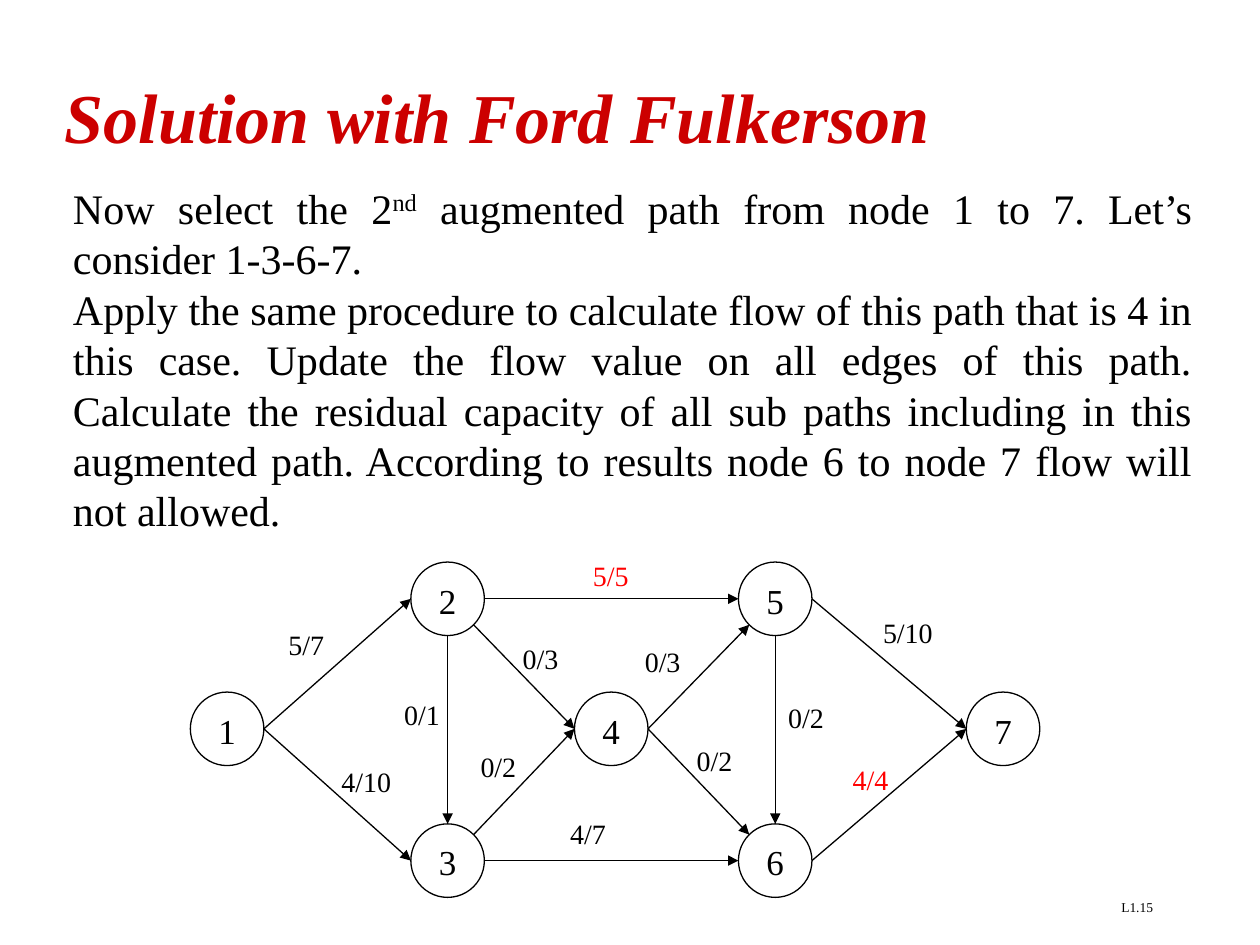
from math import hypot
from lxml.etree import SubElement
from pptx import Presentation
from pptx.dml.color import RGBColor
from pptx.enum.shapes import MSO_CONNECTOR, MSO_SHAPE
from pptx.enum.text import MSO_ANCHOR, PP_ALIGN
from pptx.oxml.ns import qn
from pptx.util import Pt

# Content
TITLE = "Solution with Ford Fulkerson"
BODY = [
    [("Now select the 2", False), ("nd", True),
     (" augmented path from node 1 to 7. Let’s consider 1-3-6-7.", False)],
    [("Apply the same procedure to calculate flow of this path that is 4 in this case. "
      "Update the flow value on all edges of this path. Calculate the residual capacity "
      "of all sub paths including in this augmented path. According to results node 6 to "
      "node 7 flow will not allowed.", False)],
]
PAGE = "L1.15"

# Node centres sit on five columns and three rows
COLS = [129.8, 255.8, 349.3, 443, 573.2]
ROWS = [342.2, 416.5, 491.8]
NODES = {"1": (0, 1), "2": (1, 0), "3": (1, 2), "4": (2, 1),
         "5": (3, 0), "6": (3, 2), "7": (4, 1)}
RIGHT, LEFT, UP, DOWN = (1, 0), (-1, 0), (0, -1), (0, 1)
DOWN_RIGHT, UP_RIGHT, DOWN_LEFT, UP_LEFT = (1, 1), (1, -1), (-1, 1), (-1, -1)

# Edge: from, side, to, side, flow/capacity, label left and top
EDGES = [
    ("1", RIGHT, "2", LEFT, "5/7", 157.7, 355),
    ("1", RIGHT, "3", LEFT, "4/10", 188, 433.4),
    ("2", RIGHT, "5", LEFT, "5/5", 331.7, 315.4),
    ("3", RIGHT, "6", LEFT, "4/7", 318.7, 463),
    ("2", DOWN, "3", UP, "0/1", 223.9, 395.3),
    ("2", DOWN_RIGHT, "4", LEFT, "0/3", 291.6, 363),
    ("3", UP_RIGHT, "4", LEFT, "0/2", 267.5, 424.8),
    ("4", RIGHT, "5", DOWN_LEFT, "0/3", 361.4, 364.5),
    ("4", RIGHT, "6", UP_LEFT, "0/2", 391, 421.2),
    ("5", DOWN, "6", UP, "0/2", 443.3, 396.7),
    ("5", RIGHT, "7", LEFT, "5/10", 497.5, 348.5),
    ("6", RIGHT, "7", LEFT, "4/4", 480.2, 432),
]

THEME = {
    "font": "Times New Roman",
    "black": RGBColor(0, 0, 0), "title": RGBColor(0xCC, 0, 0), "full": RGBColor(0xFF, 0, 0),
    "title_size": 40, "body_size": 24, "node_size": 20, "label_size": 16, "page_size": 7.7,
    "line": 0.75, "radius": 21,
}

prs = Presentation()
prs.slide_width, prs.slide_height = Pt(720), Pt(540)
s = prs.slides.add_slide(prs.slide_layouts[6])


def style(tf, size, color="black", align=PP_ALIGN.LEFT, bold=False):
    for p in tf.paragraphs:
        p.alignment = align
        for r in p.runs:
            r.font.name, r.font.size = THEME["font"], Pt(THEME[size])
            r.font.color.rgb = THEME[color]
            r.font.bold = r.font.italic = bold


def add_text(x, y, w, h, text="", wrap=True):
    tf = s.shapes.add_textbox(Pt(x), Pt(y), Pt(w), Pt(h)).text_frame
    tf.word_wrap = wrap
    tf.text = text
    return tf


def port(node, side):
    """Point on the node's circle in the direction of side."""
    col, row = NODES[node]
    k = THEME["radius"] / hypot(*side)
    return Pt(COLS[col] + k * side[0]), Pt(ROWS[row] + k * side[1])


# Page number and title
style(add_text(516, 510, 150, 18, PAGE), "page_size", align=PP_ALIGN.RIGHT)
tf = add_text(30, 30, 672, 72, TITLE)
tf.vertical_anchor = MSO_ANCHOR.MIDDLE
style(tf, "title_size", "title", bold=True)

# Body text
tf = add_text(34.6, 100.8, 653.8, 324)
for i, parts in enumerate(BODY):
    p = tf.paragraphs[0] if i == 0 else tf.add_paragraph()
    for text, raised in parts:
        r = p.add_run()
        r.text = text
        if raised:
            r.font._element.set("baseline", "30000")
style(tf, "body_size", align=PP_ALIGN.JUSTIFY)

# Nodes
rad = THEME["radius"]
for name, (col, row) in NODES.items():
    sp = s.shapes.add_shape(MSO_SHAPE.OVAL, Pt(COLS[col] - rad), Pt(ROWS[row] - rad),
                            Pt(2 * rad), Pt(2 * rad))
    sp.shadow.inherit = False
    sp.fill.background()
    sp.line.color.rgb, sp.line.width = THEME["black"], Pt(THEME["line"])
    sp.text_frame.text = name
    sp.text_frame.vertical_anchor = MSO_ANCHOR.TOP
    style(sp.text_frame, "node_size", align=PP_ALIGN.CENTER)

# Edges with their flow labels; a full edge is red
for start, out, end, into, label, x, y in EDGES:
    cn = s.shapes.add_connector(MSO_CONNECTOR.STRAIGHT, *port(start, out), *port(end, into))
    cn.line.color.rgb, cn.line.width = THEME["black"], Pt(THEME["line"])
    SubElement(cn.line._get_or_add_ln(), qn("a:tailEnd"), type="triangle")
    SubElement(cn._element.spPr, qn("a:effectLst"))
    flow, capacity = label.split("/")
    tf = add_text(x, y, 48 if len(label) > 3 else 38, 26.6, label, wrap=False)
    style(tf, "label_size", "full" if flow == capacity else "black")

prs.save("out.pptx")
